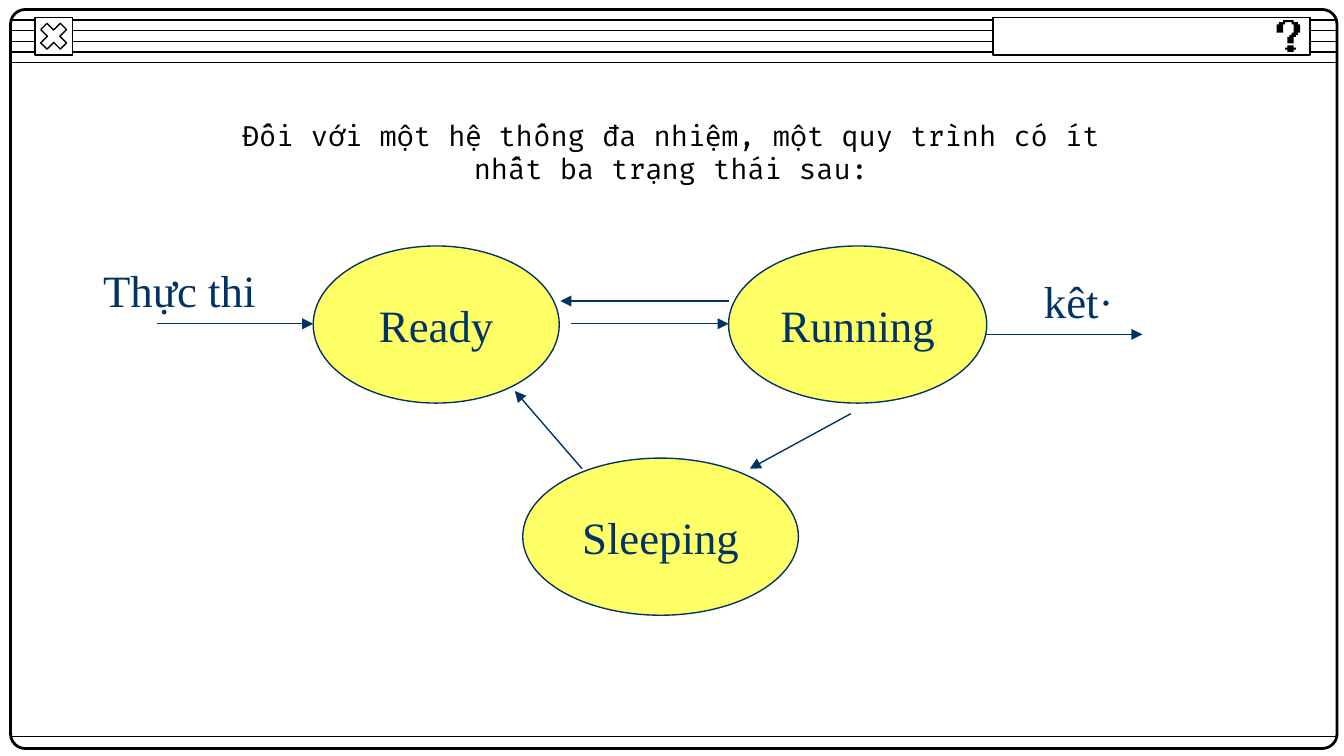
from dataclasses import dataclass

from lxml.etree import SubElement
from pptx import Presentation
from pptx.dml.color import RGBColor
from pptx.enum.shapes import MSO_CONNECTOR, MSO_SHAPE
from pptx.enum.text import MSO_ANCHOR, PP_ALIGN
from pptx.oxml.ns import qn
from pptx.util import Cm, Pt

BLACK = RGBColor(0x00, 0x00, 0x00)
WHITE = RGBColor(0xFF, 0xFF, 0xFF)
NAVY = RGBColor(0x00, 0x33, 0x66)
YELLOW = RGBColor(0xFF, 0xFF, 0x66)
SERIF = "Times New Roman"
MONO = "Fira Code"


@dataclass(frozen=True)
class Box:
    """A place on the slide, in centimetres."""
    left: float
    top: float
    width: float
    height: float

    def size(self) -> tuple:
        return Cm(self.left), Cm(self.top), Cm(self.width), Cm(self.height)


@dataclass(frozen=True)
class Label:
    text: str
    box: Box


@dataclass(frozen=True)
class Line:
    """A straight line between two points, in centimetres."""
    x1: float
    y1: float
    x2: float
    y2: float


STATES = [
    Label("Ready", Box(5.92, 4.65, 4.65, 2.97)),
    Label("Running", Box(13.77, 4.65, 4.88, 2.97)),
    Label("Sleeping", Box(9.88, 8.66, 5.21, 2.97)),
]
ARROWS = [
    Line(2.97, 6.12, 5.92, 6.12),     # start to Ready
    Line(10.8, 6.12, 13.77, 6.12),    # Ready to Running
    Line(18.62, 6.32, 21.59, 6.32),   # Running to end
    Line(11, 8.86, 9.73, 7.39),       # Sleeping to Ready
    Line(13.77, 5.69, 10.59, 5.69),   # Running to Ready
    Line(16.08, 7.82, 14.17, 8.86),   # Running to Sleeping
]
ENDS = [
    Label("Thực thi", Box(1.7, 4.85, 4.06, 1.27)),
    Label("kêt·", Box(19.48, 5.05, 4.24, 1.27)),
]
TITLE = Label(
    "Đối với một hệ thống đa nhiệm, một quy trình có ít nhất ba trạng thái sau:",
    Box(3.63, 1.27, 18.11, 3.2),
)

# Window frame
LEFT, RIGHT = 0.2, 25.27
STRIPES = [0.38 + 0.2 * i for i in range(5)]
FRAME = Box(LEFT, 0.18, RIGHT - LEFT, 13.97)
CLOSE = Box(0.66, 0.33, 0.71, 0.71)
SEARCH = Box(18.77, 0.33, 5.99, 0.71)

# Question mark, as corners on a grid of square pixels
PIXEL = Cm(0.04)
HOOK = [(3, 0), (3, 1), (1, 1), (1, 2), (0, 2), (0, 6), (3, 6), (3, 2),
        (4, 2), (4, 1), (7, 1), (7, 2), (8, 2), (8, 6), (7, 6), (7, 7),
        (6, 7), (6, 8), (5, 8), (5, 11), (8, 11), (8, 8), (9, 8), (9, 7),
        (10, 7), (10, 6), (11, 6), (11, 2), (10, 2), (10, 1), (8, 1), (8, 0)]
DOT = [(5, 12), (5, 13), (4, 13), (4, 14), (5, 14), (5, 15),
       (8, 15), (8, 14), (9, 14), (9, 13), (8, 13), (8, 12)]


def draw_line(slide, line: Line, color: RGBColor, arrow: bool = False) -> None:
    wire = slide.shapes.add_connector(
        MSO_CONNECTOR.STRAIGHT,
        Cm(line.x1), Cm(line.y1), Cm(line.x2), Cm(line.y2))
    wire.line.color.rgb = color
    wire.line.width = Pt(0.75)
    if arrow:
        SubElement(wire.line._get_or_add_ln(), qn("a:tailEnd"), type="triangle")
    SubElement(wire._element.spPr, qn("a:effectLst"))


def draw_shape(slide, kind: MSO_SHAPE, box: Box, fill: RGBColor | None,
               color: RGBColor, width: float = 0.75):
    shape = slide.shapes.add_shape(kind, *box.size())
    shape.shadow.inherit = False
    if fill is None:
        shape.fill.background()
    else:
        shape.fill.solid()
        shape.fill.fore_color.rgb = fill
    shape.line.color.rgb = color
    shape.line.width = Pt(width)
    return shape


def draw_glyph(slide, points: list[tuple[int, int]]) -> None:
    pen = slide.shapes.build_freeform(*points[0], scale=PIXEL)
    pen.add_line_segments(points[1:], close=True)
    glyph = pen.convert_to_shape(Cm(24.13), Cm(0.38))
    glyph.shadow.inherit = False
    glyph.fill.solid()
    glyph.fill.fore_color.rgb = BLACK
    glyph.line.fill.background()


def write(shape, text: str, font: str, size: float, color: RGBColor,
          align: PP_ALIGN, anchor: MSO_ANCHOR) -> None:
    frame = shape.text_frame
    frame.word_wrap = True
    frame.vertical_anchor = anchor
    part = frame.paragraphs[0]
    part.alignment = align
    run = part.add_run()
    run.text = text
    run.font.name = font
    run.font.size = Pt(size)
    run.font.color.rgb = color


def draw_window(slide) -> None:
    for y in [*STRIPES, 13.92]:
        draw_line(slide, Line(LEFT, y, RIGHT, y), BLACK)
    frame = draw_shape(slide, MSO_SHAPE.ROUNDED_RECTANGLE, FRAME, None, BLACK, 1.5)
    frame.adjustments[0] = 0.02
    for box in (CLOSE, SEARCH):
        draw_shape(slide, MSO_SHAPE.RECTANGLE, box, WHITE, BLACK)
    cross = draw_shape(slide, MSO_SHAPE.MATH_MULTIPLY, CLOSE, WHITE, BLACK)
    cross.adjustments[0] = 0.235
    for points in (DOT, HOOK):
        draw_glyph(slide, points)


def draw_states(slide) -> None:
    for state in STATES:
        oval = draw_shape(slide, MSO_SHAPE.OVAL, state.box, YELLOW, NAVY)
        write(oval, state.text, SERIF, 24, NAVY, PP_ALIGN.CENTER, MSO_ANCHOR.MIDDLE)
    for arrow in ARROWS:
        draw_line(slide, arrow, NAVY, arrow=True)
    for end in ENDS:
        area = slide.shapes.add_textbox(*end.box.size())
        write(area, end.text, SERIF, 24, NAVY, PP_ALIGN.LEFT, MSO_ANCHOR.TOP)


def main() -> None:
    deck = Presentation()
    deck.slide_width, deck.slide_height = Cm(25.4), Cm(14.29)
    slide = deck.slides.add_slide(deck.slide_layouts[6])

    draw_window(slide)

    # Heading
    head = slide.shapes.add_textbox(*TITLE.box.size())
    write(head, TITLE.text, MONO, 15, BLACK, PP_ALIGN.CENTER, MSO_ANCHOR.MIDDLE)

    draw_states(slide)
    deck.save("out.pptx")


if __name__ == "__main__":
    main()
